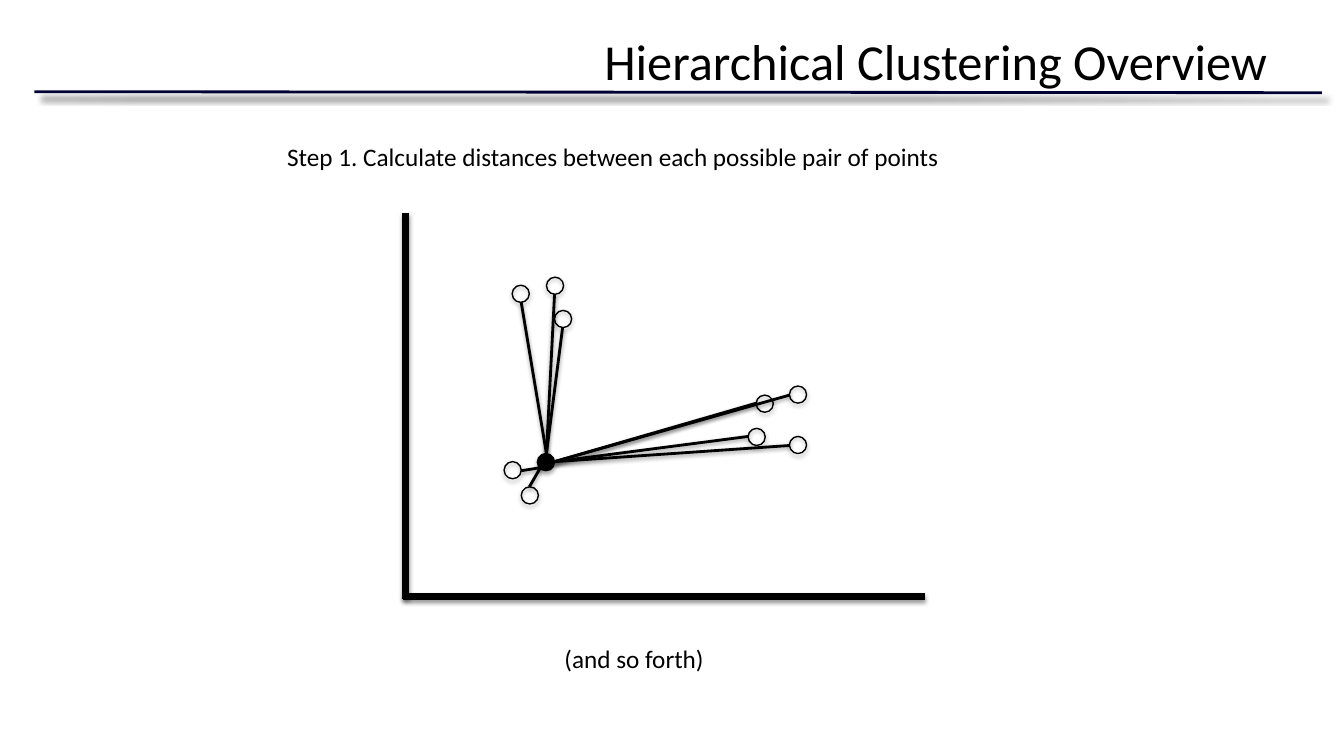
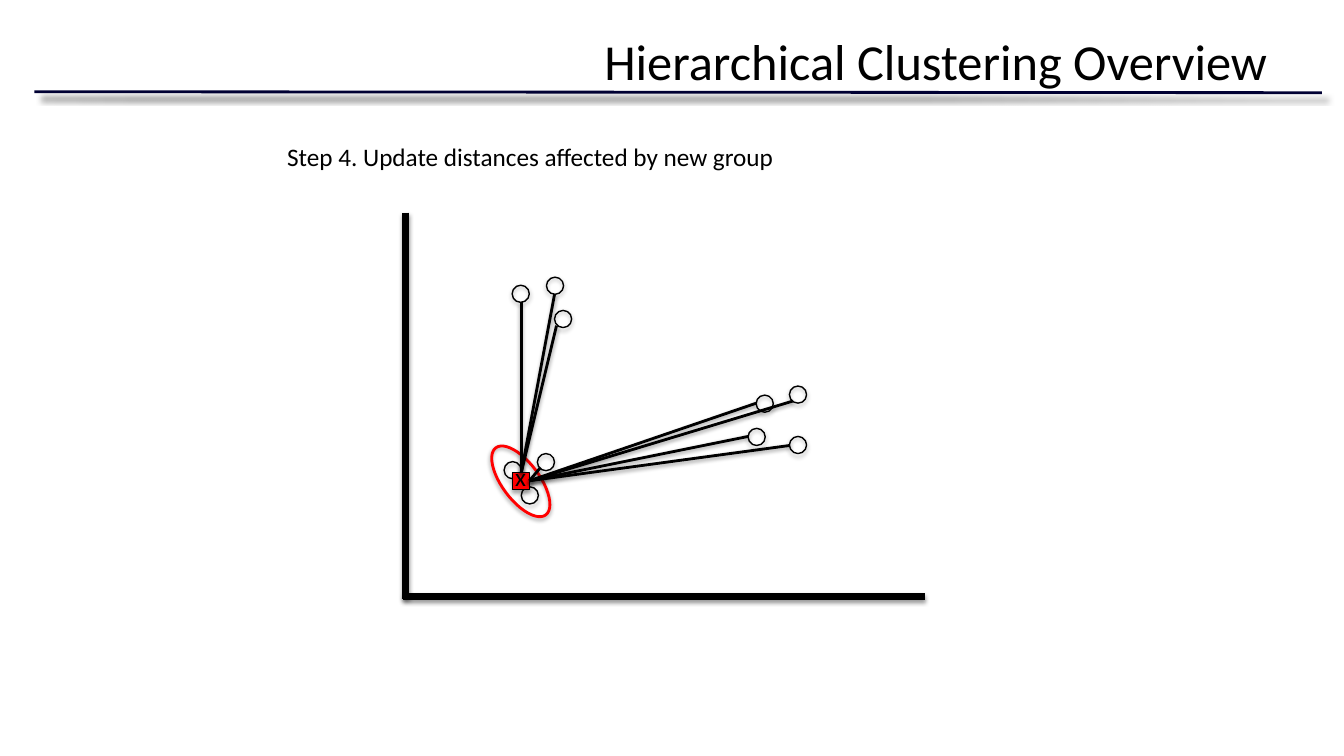
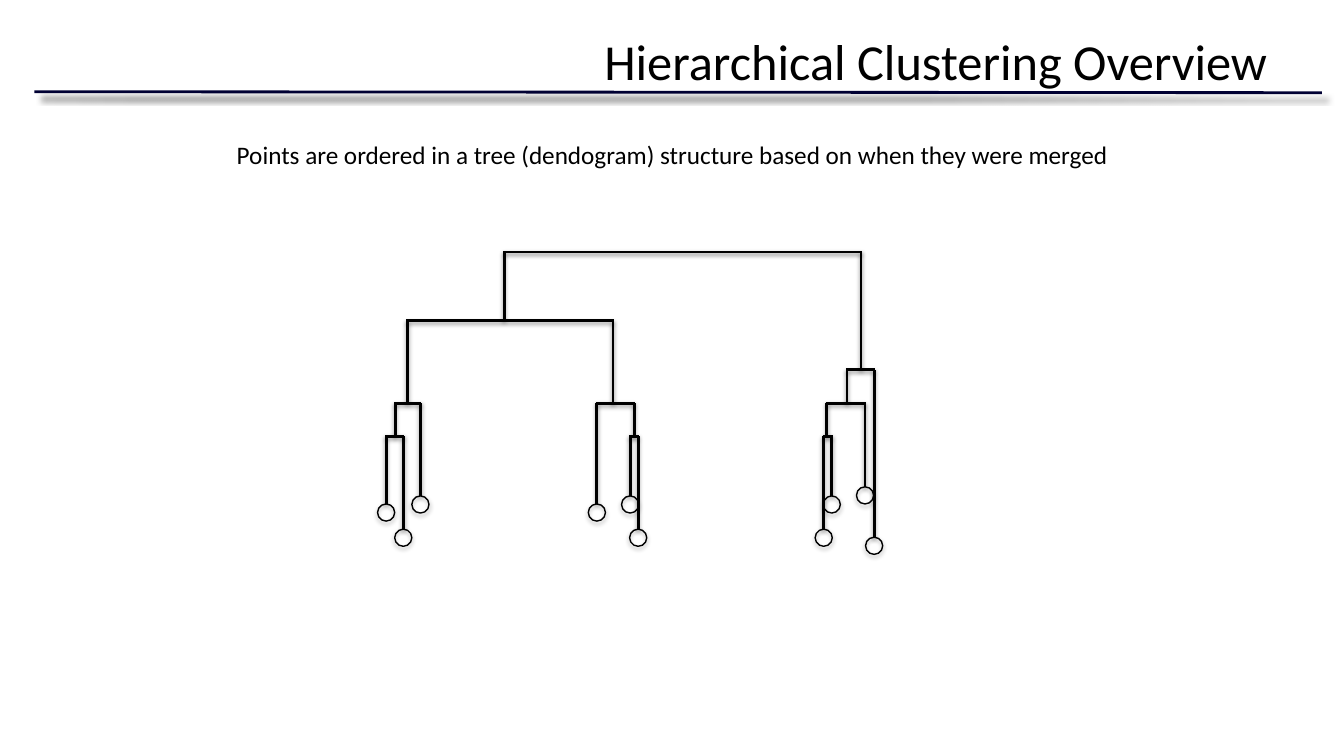
from dataclasses import dataclass
from lxml import etree
from pptx import Presentation
from pptx.dml.color import RGBColor
from pptx.enum.shapes import MSO_CONNECTOR, MSO_SHAPE
from pptx.enum.text import MSO_ANCHOR, MSO_AUTO_SIZE, PP_ALIGN
from pptx.oxml.ns import qn
from pptx.util import Inches, Pt

STRAIGHT = MSO_CONNECTOR.STRAIGHT
OVAL, RECTANGLE = MSO_SHAPE.OVAL, MSO_SHAPE.RECTANGLE
TOP, MIDDLE = MSO_ANCHOR.TOP, MSO_ANCHOR.MIDDLE
LEFT, RIGHT = PP_ALIGN.LEFT, PP_ALIGN.RIGHT
GROW, FIXED = MSO_AUTO_SIZE.SHAPE_TO_FIT_TEXT, MSO_AUTO_SIZE.NONE

BLACK = RGBColor(0x00, 0x00, 0x00)
NAVY = RGBColor(0x00, 0x00, 0x33)
RED = RGBColor(0xFF, 0x00, 0x00)
FONT = "Calibri"
TITLE = "Hierarchical Clustering Overview"

# Shadows: opacity in percent, blur and distance in points, direction in degrees
RULE_SHADOW = (50, 4, 6, 45)
LINE_SHADOW = (38, 3.1, 1.6, 90)
SHAPE_SHADOW = (35, 3.1, 1.8, 90)

MARK = 0.17
HUB = (5.33, 4.5)
POINTS = [
    (5.42, 2.75), (5.5, 3.08), (5.08, 2.83),
    (7.5, 3.92), (7.42, 4.25), (7.83, 3.83), (7.83, 4.33),
    (5, 4.58), (5.17, 4.83),
]


@dataclass
class Leaf:
    x: float
    top: float


@dataclass
class Merge:
    """Two branches joined by a bar at top, with the stem above it at x."""
    x: float
    top: float
    left: "Leaf | Merge"
    right: "Leaf | Merge"


LEFT_CLUSTER = Merge(
    4.04, 4, Merge(3.92, 4.33, Leaf(3.83, 5), Leaf(4, 5.25)), Leaf(4.17, 4.92))
MIDDLE_CLUSTER = Merge(
    6.08, 4, Leaf(5.92, 5), Merge(6.29, 4.33, Leaf(6.25, 4.92), Leaf(6.33, 5.25)))
RIGHT_CLUSTER = Merge(
    8.54, 3.67,
    Merge(8.4, 4, Merge(8.2, 4.33, Leaf(8.17, 5.25), Leaf(8.25, 4.92)),
          Leaf(8.58, 4.83)),
    Leaf(8.67, 5.33))
TREE = Merge(6.77, 2.5, Merge(5, 3.18, LEFT_CLUSTER, MIDDLE_CLUSTER), RIGHT_CLUSTER)


def add_shadow(shape, opacity, blur, distance, direction):
    effects = etree.SubElement(shape.element.spPr, qn("a:effectLst"))
    shadow = etree.SubElement(
        effects, qn("a:outerShdw"), blurRad=str(Pt(blur)), dist=str(Pt(distance)),
        dir=str(direction * 60000), algn="ctr", rotWithShape="0")
    color = etree.SubElement(shadow, qn("a:srgbClr"), val=str(BLACK))
    etree.SubElement(color, qn("a:alpha"), val=str(opacity * 1000))


def add_line(slide, start, end, width=2, color=BLACK, shadow=LINE_SHADOW):
    line = slide.shapes.add_connector(
        STRAIGHT, *(Inches(value) for value in (*start, *end)))
    line.line.color.rgb = color
    line.line.width = Pt(width)
    add_shadow(line, *shadow)


def add_mark(slide, corner, size=(MARK, MARK), kind=OVAL, fill=None,
             color=BLACK, width=1, rotation=0):
    mark = slide.shapes.add_shape(
        kind, *(Inches(value) for value in (*corner, *size)))
    mark.rotation = rotation
    if fill is None:
        mark.fill.background()
    else:
        mark.fill.solid()
        mark.fill.fore_color.rgb = fill
    mark.line.color.rgb = color
    mark.line.width = Pt(width)
    add_shadow(mark, *SHAPE_SHADOW)


def add_text(slide, text, box, size=18, align=LEFT, anchor=TOP, wrap=False,
             fit=GROW, margins=(0.1, 0.05)):
    frame = slide.shapes.add_textbox(*(Inches(value) for value in box)).text_frame
    frame.word_wrap = wrap
    frame.auto_size = fit
    frame.vertical_anchor = anchor
    frame.margin_left = frame.margin_right = Inches(margins[0])
    frame.margin_top = frame.margin_bottom = Inches(margins[1])
    paragraph = frame.paragraphs[0]
    paragraph.alignment = align
    run = paragraph.add_run()
    run.text = text
    run.font.name = FONT
    run.font.size = Pt(size)
    run.font.color.rgb = BLACK


def add_titled_slide(deck):
    slide = deck.slides.add_slide(deck.slide_layouts[6])
    add_line(slide, (0.34, 0.91), (13.11, 0.92), color=NAVY, shadow=RULE_SHADOW)
    add_text(slide, TITLE, (0.67, 0.25, 12, 1.25), size=36, align=RIGHT,
             wrap=True, fit=FIXED)
    return slide


def add_scatter(slide, hub_fill=None):
    add_line(slide, (4.02, 2.11), (4.02, 5.94), width=5)
    add_line(slide, (9.17, 5.92), (4, 5.92), width=5)
    for corner in POINTS:
        add_mark(slide, corner)
    add_mark(slide, HUB, fill=hub_fill)


def add_fan(slide, origin, ends):
    """Distance lines from one origin to several points."""
    for end in ends:
        add_line(slide, origin, end)


def add_branch(slide, node):
    """Draw a node of the dendrogram with everything below it."""
    if isinstance(node, Leaf):
        add_mark(slide, (node.x - MARK / 2, node.top))
        return
    for child in (node.left, node.right):
        add_branch(slide, child)
        add_line(slide, (child.x, child.top), (child.x, node.top))
    overhang = 0.01
    add_line(slide, (node.left.x - overhang, node.top),
             (node.right.x + overhang, node.top))


def build_distances(deck):
    slide = add_titled_slide(deck)
    add_scatter(slide, hub_fill=BLACK)
    add_text(slide, "Step 1. Calculate distances between each possible pair of points",
             (2.75, 1.35, 6.75, 0.4))
    add_fan(slide, (5.5, 4.58), [(7.42, 4.33), (7.5, 4), (7.83, 3.92), (7.83, 4.42)])
    add_fan(slide, (5.42, 4.5), [(5.58, 3.25), (5.5, 2.92), (5.17, 3)])
    add_fan(slide, (5.36, 4.64), [(5.25, 4.83), (5.17, 4.67)])
    add_text(slide, "(and so forth)", (5.5, 6.33, 1.6, 0.4))


def build_update(deck):
    slide = add_titled_slide(deck)
    add_scatter(slide)
    add_text(slide, "Step 4. Update distances affected by new group",
             (2.75, 1.35, 5.1, 0.4))
    add_mark(slide, (5.08, 4.69), kind=RECTANGLE, fill=RED, width=0.75)
    add_mark(slide, (4.98, 4.36), size=(0.37, 0.83), color=RED, width=2,
             rotation=143.4)
    add_text(slide, "x", (5.11, 4.58, 0.11, 0.3), anchor=MIDDLE, margins=(0, 0))
    add_fan(slide, (5.17, 4.69), [(5.52, 3.23), (5.17, 3), (5.5, 2.92)])
    add_fan(slide, (5.25, 4.77),
            [(5.36, 4.64), (7.5, 4), (7.86, 3.98), (7.42, 4.33), (7.83, 4.42)])


def build_dendrogram(deck):
    slide = add_titled_slide(deck)
    add_text(slide, "Points are ordered in a tree (dendogram) structure "
             "based on when they were merged", (2.25, 1.33, 8.97, 0.4))
    add_branch(slide, TREE)


def main():
    deck = Presentation()
    deck.slide_width = Inches(13.33)
    deck.slide_height = Inches(7.5)
    build_distances(deck)
    build_update(deck)
    build_dendrogram(deck)
    deck.save("out.pptx")


if __name__ == "__main__":
    main()
